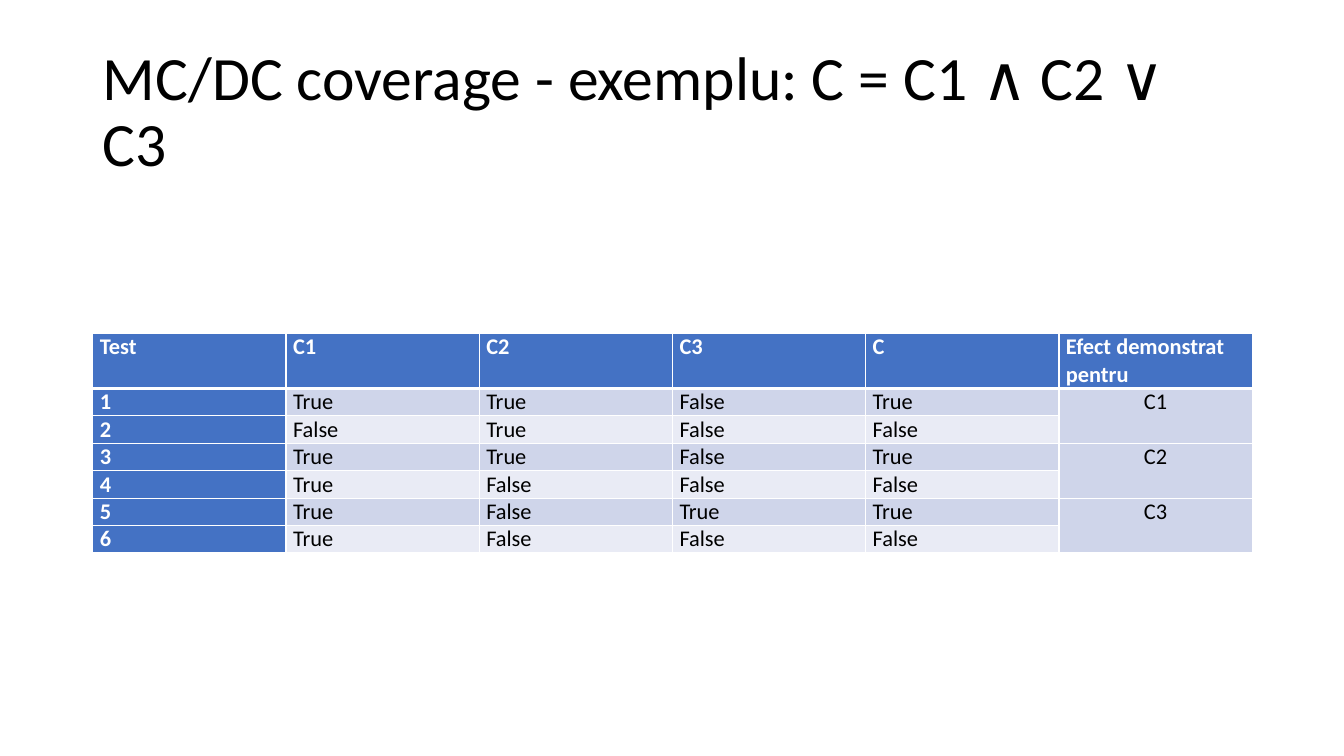
from dataclasses import dataclass

from lxml.etree import SubElement
from pptx import Presentation
from pptx.dml.color import RGBColor
from pptx.enum.text import MSO_ANCHOR as Anchor, MSO_AUTO_SIZE as Fit, PP_ALIGN as Align
from pptx.oxml.ns import qn
from pptx.util import Inches, Pt

FONT = "Calibri"
BLUE, DARK, LIGHT = "4472C4", "CFD5EA", "E9EBF5"
WHITE, BLACK = "FFFFFF", "000000"
LEFT, WIDTH = 0.92, 11.5
LINE = 0.27  # height of one line of table text

HEAD = ["Test", "C1", "C2", "C3", "C", "Efect demonstrat pentru"]
TESTS = [
    (True, True, False, True),
    (False, True, False, False),
    (True, True, False, True),
    (True, False, False, False),
    (True, False, True, True),
    (True, False, False, False),
]


@dataclass
class Look:
    fill: str
    color: str = BLACK
    bold: bool = False
    align: Align = Align.LEFT


def rgb(code: str) -> RGBColor:
    return RGBColor.from_string(code)


def assign(target, values: dict) -> None:
    for name, value in values.items():
        setattr(target, name, value)


def write(frame, text: str, size: int, color: str, bold: bool, align: Align):
    """Put one formatted paragraph in a text frame and return it."""
    frame.text = text
    par = frame.paragraphs[0]
    par.alignment = align
    font = par.runs[0].font
    assign(font, {"name": FONT, "size": Pt(size), "bold": bold})
    font.color.rgb = rgb(color)
    return par


def border(cell, side: str, width: float) -> None:
    props = cell._tc.get_or_add_tcPr()
    line = SubElement(props, qn(f"a:ln{side}"), w=str(Pt(width)))
    fill = SubElement(line, qn("a:solidFill"))
    SubElement(fill, qn("a:srgbClr"), val=WHITE)


def style(row: int, col: int) -> Look:
    if row == 0 or col == 0:
        return Look(BLUE, WHITE, True)
    if col == len(HEAD) - 1:
        return Look(DARK, align=Align.CENTER)
    return Look(DARK if row % 2 else LIGHT)


def draw(cell, row: int, col: int, text: str) -> None:
    look = style(row, col)
    # Borders come before the fill; the header is set off by a thick line
    thick = {(0, "B"), (1, "T")}
    for side in "LRTB":
        border(cell, side, 3 if (row, side) in thick else 1)
    cell.fill.solid()
    cell.fill.fore_color.rgb = rgb(look.fill)
    assign(cell, {"margin_left": Inches(0.07), "margin_right": Inches(0.07),
                  "margin_top": 0, "margin_bottom": 0})
    if text:
        write(cell.text_frame, text, 16, look.color, look.bold, look.align)


def main() -> None:
    deck = Presentation()
    assign(deck, {"slide_width": Inches(13.33), "slide_height": Inches(7.5)})
    slide = deck.slides.add_slide(deck.slide_layouts[5])

    # Title
    title = slide.shapes.title
    assign(title, {"left": Inches(LEFT), "top": Inches(0.4),
                   "width": Inches(WIDTH), "height": Inches(1.45)})
    assign(title.text_frame, {"word_wrap": True, "auto_size": Fit.NONE,
                              "vertical_anchor": Anchor.MIDDLE})
    par = write(title.text_frame, "MC/DC coverage - exemplu: C = C1 ∧ C2 ∨ C3",
                44, BLACK, False, Align.LEFT)
    par.line_spacing = 0.9

    # Truth table: each pair of tests shows the effect of one condition
    rows = [HEAD]
    for i, test in enumerate(TESTS):
        effect = "" if i % 2 else f"C{i // 2 + 1}"
        rows.append([str(i + 1), *map(str, test), effect])

    height = LINE * (len(rows) + 1)
    table = slide.shapes.add_table(len(rows), len(HEAD), Inches(LEFT), Inches(3.31),
                                   Inches(WIDTH), Inches(height)).table
    assign(table, {"first_col": True, "horz_banding": False})
    for r, texts in enumerate(rows):
        table.rows[r].height = Inches(LINE if r else 2 * LINE)
        for c, text in enumerate(texts):
            draw(table.cell(r, c), r, c, text)

    # Effect cells span their two tests
    last = len(HEAD) - 1
    for r in range(1, len(rows), 2):
        table.cell(r, last).merge(table.cell(r + 1, last))

    deck.save("out.pptx")


if __name__ == "__main__":
    main()
